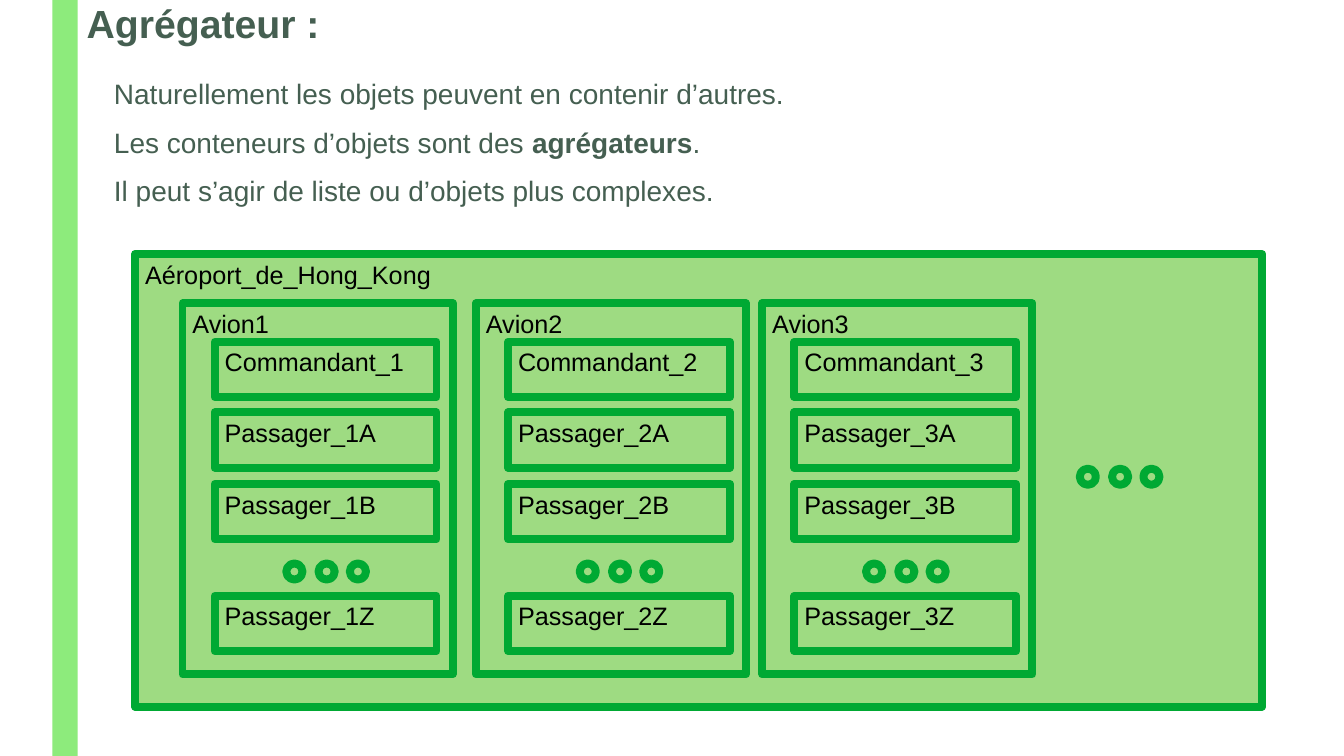
from lxml import etree
from pptx import Presentation
from pptx.dml.color import RGBColor
from pptx.enum.shapes import MSO_SHAPE
from pptx.enum.text import MSO_ANCHOR, MSO_AUTO_SIZE, PP_ALIGN
from pptx.oxml.ns import qn
from pptx.util import Pt

PX = 9144
RECTANGLE, OVAL = MSO_SHAPE.RECTANGLE, MSO_SHAPE.OVAL
TOP, LEFT, NO_FIT = MSO_ANCHOR.TOP, PP_ALIGN.LEFT, MSO_AUTO_SIZE.NONE

BAR_GREEN = RGBColor(0x8D, 0xEB, 0x7C)
BOX_GREEN = RGBColor(0x9E, 0xDB, 0x82)
LINE_GREEN = RGBColor(0x00, 0xA9, 0x33)
SLATE = RGBColor(0x45, 0x5F, 0x51)
BLACK = RGBColor(0x00, 0x00, 0x00)

TITLE = "Agrégateur :"
SENTENCES = [
    [("Naturellement les objets peuvent en contenir d’autres.", False)],
    [("Les conteneurs d’objets sont des ", False), ("agrégateurs", True), (".", False)],
    [("Il peut s’agir de liste ou d’objets plus complexes.", False)],
]
PLANE_LEFTS = [181, 472, 756]
SEATS = [("Commandant_{}", 339), ("Passager_{}A", 409), ("Passager_{}B", 480), ("Passager_{}Z", 591)]


def place(shape, left, top, width, height):
    """Move and size a shape, in px."""
    shape.left, shape.top = left * PX, top * PX
    shape.width, shape.height = width * PX, height * PX


def style_span(span, size, color, bold=False):
    """Format one run of text."""
    span.font.name = "Arial"
    span.font.size = Pt(size)
    span.font.bold = bold
    span.font.color.rgb = color


def write_title(page):
    """Fill the title placeholder."""
    box = page.shapes.title
    place(box, 76, 0, 1257, 71)
    frame = box.text_frame
    frame.text = TITLE
    frame.vertical_anchor = TOP
    frame.auto_size = NO_FIT
    para = frame.paragraphs[0]
    para.alignment = LEFT
    para.line_spacing = 0.89
    style_span(para.runs[0], 28, SLATE, True)


def write_body(page):
    """Fill the body placeholder with unbulleted sentences."""
    box = page.placeholders[1]
    place(box, 103, 74, 1230, 679)
    frame = box.text_frame
    frame.auto_size = NO_FIT
    for index, sentence in enumerate(SENTENCES):
        para = frame.add_paragraph() if index else frame.paragraphs[0]
        para.line_spacing = 0.94
        para.space_before, para.space_after = Pt(10), Pt(2)
        for words, bold in sentence:
            span = para.add_run()
            span.text = words
            style_span(span, 20, SLATE, bold)
        properties = para._p.get_or_add_pPr()
        properties.set("marL", "0")
        properties.set("indent", "0")
        etree.SubElement(properties, qn("a:buNone"))


def add_figure(page, kind, bounds, fill):
    """Add a flat filled shape without an outline."""
    shape = page.shapes.add_shape(kind, 0, 0, 0, 0)
    place(shape, *bounds)
    shape.shadow.inherit = False
    shape.fill.solid()
    shape.fill.fore_color.rgb = fill
    shape.line.fill.background()
    return shape


def add_outlined(page, kind, bounds):
    """Add a light green shape with a thick green outline."""
    shape = add_figure(page, kind, bounds, BOX_GREEN)
    shape.line.color.rgb = LINE_GREEN
    shape.line.width = Pt(5.67)
    return shape


def add_container(page, label, bounds):
    """Add an outlined box labelled at its top left."""
    frame = add_outlined(page, RECTANGLE, bounds).text_frame
    frame.text = label
    frame.word_wrap = True
    frame.vertical_anchor = TOP
    para = frame.paragraphs[0]
    para.alignment = LEFT
    style_span(para.runs[0], 18, BLACK)


def add_ellipsis(page, left, top):
    """Add three rings in a row."""
    for index in range(3):
        add_outlined(page, OVAL, (left + round(index * 31.5), top, 16, 16))


def add_plane(page, number, left):
    """Add one plane with its crew and passengers."""
    add_container(page, f"Avion{number}", (left, 301, 268, 368))
    for label, top in SEATS:
        add_container(page, label.format(number), (left + 32, top, 220, 55))
    add_ellipsis(page, left + 103, 559)


def main():
    """Build the slide and save it."""
    deck = Presentation()
    deck.slide_width, deck.slide_height = 1333 * PX, 750 * PX
    page = deck.slides.add_slide(deck.slide_layouts[1])
    add_figure(page, RECTANGLE, (52, 0, 25, 750), BAR_GREEN)
    write_title(page)
    write_body(page)
    add_container(page, "Aéroport_de_Hong_Kong", (134, 252, 1118, 449))
    for number, left in enumerate(PLANE_LEFTS, 1):
        add_plane(page, number, left)
    add_ellipsis(page, 1071, 465)
    deck.save("out.pptx")


if __name__ == "__main__":
    main()
